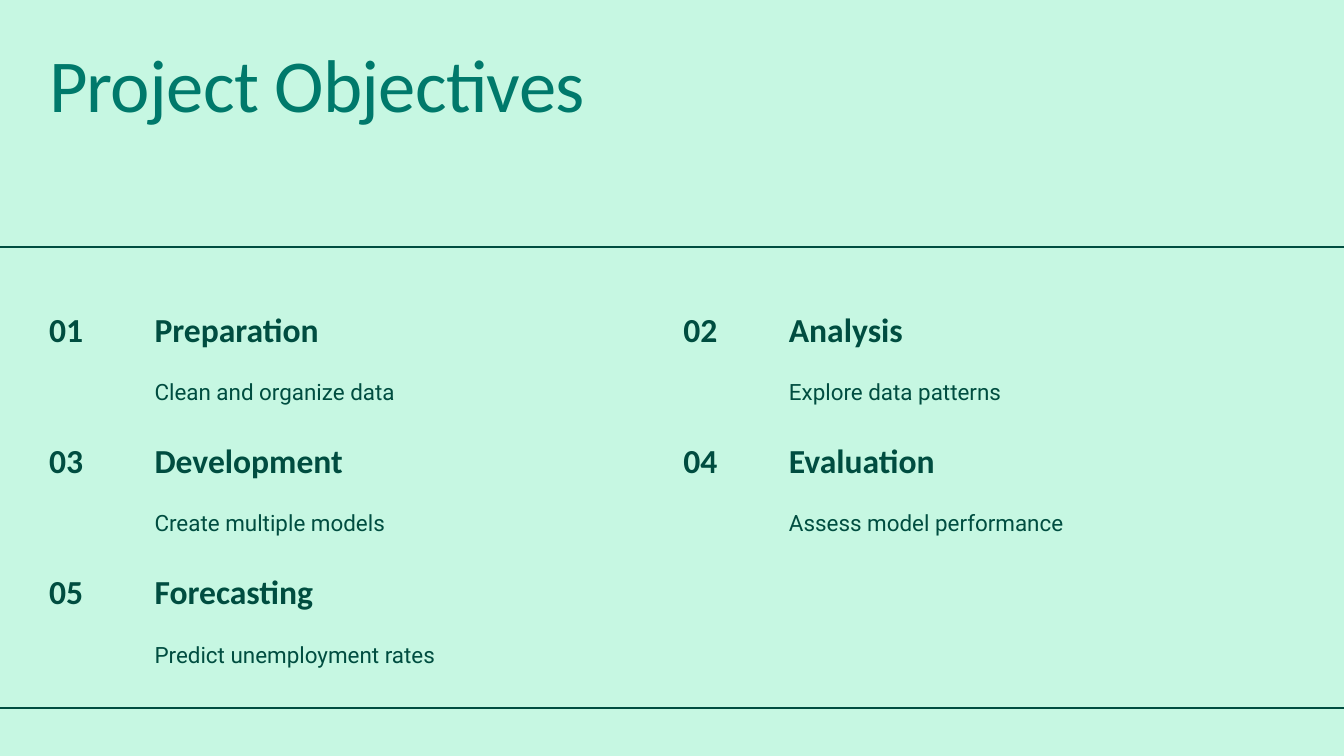
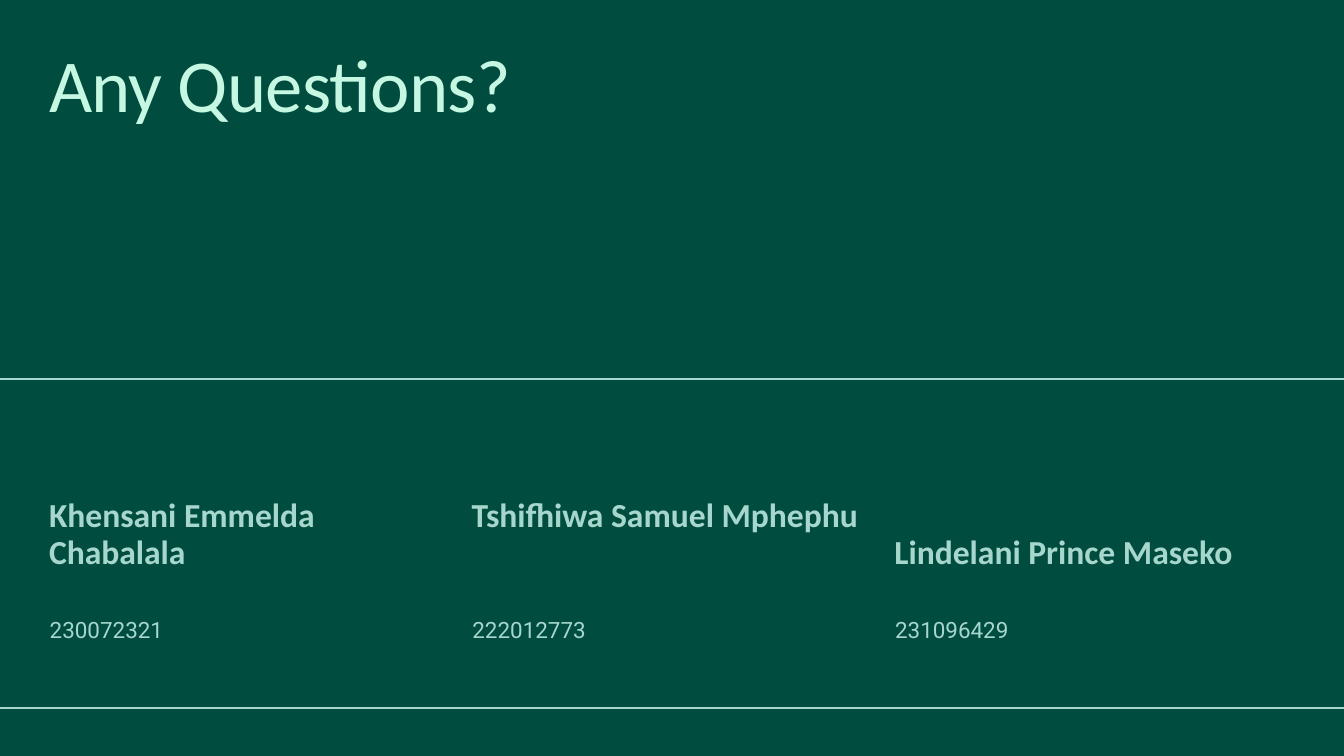
from dataclasses import dataclass

from lxml import etree
from pptx import Presentation
from pptx.dml.color import RGBColor
from pptx.enum.shapes import MSO_CONNECTOR
from pptx.enum.text import MSO_AUTO_SIZE
from pptx.oxml.ns import qn
from pptx.util import Pt

STRAIGHT = MSO_CONNECTOR.STRAIGHT
GROW = MSO_AUTO_SIZE.SHAPE_TO_FIT_TEXT

PX = 9144
PAGE_WIDTH, PAGE_HEIGHT = 2000, 1125
MARGIN = 73
FOOTER_TOP = 1054


@dataclass(frozen=True)
class TextStyle:
    font: str
    size: int
    leading: float
    bold: bool = False
    spacing: int = 0


@dataclass(frozen=True)
class Theme:
    mint: str = "C6F7E2"
    teal: str = "00796B"
    forest: str = "004D40"
    sage: str = "A7D7CC"
    rule_width: float = 2.25
    title: TextStyle = TextStyle("Calibri", 80, 80, spacing=-80)
    heading: TextStyle = TextStyle("Calibri", 36, 39.6, bold=True)
    body: TextStyle = TextStyle("Roboto", 24, 31.2)


THEME = Theme()


def write_text(frame, text, *, style, color):
    frame.word_wrap = True
    frame.auto_size = GROW
    frame.margin_left = frame.margin_right = 0
    frame.margin_top = frame.margin_bottom = 0
    para = frame.paragraphs[0]
    para.line_spacing = Pt(style.leading)
    span = para.add_run()
    span.text = text
    span.font.name = style.font
    span.font.size = Pt(style.size)
    span.font.bold = style.bold
    span.font.color.rgb = RGBColor.from_string(color)
    if style.spacing:
        span.font._element.set("spc", str(style.spacing))


class Painter:
    def __init__(self, deck):
        self.deck = deck
        self.page = None
        self.ink = None

    def start_page(self, background, ink):
        self.page = self.deck.slides.add_slide(self.deck.slide_layouts[6])
        self.ink = ink
        fill = self.page.background.fill
        fill.solid()
        fill.fore_color.rgb = RGBColor.from_string(background)

    def group(self):
        return self.page.shapes.add_group_shape().shapes

    def text(self, text, left, top, width, height, style, color=None, parent=None):
        shapes = self.page.shapes if parent is None else parent
        box = shapes.add_textbox(left * PX, top * PX, width * PX, height * PX)
        write_text(box.text_frame, text, style=style, color=color or self.ink)

    def title(self, text, color, width):
        self.text(text, MARGIN, 78, width, 127, THEME.title, color)

    def rule(self, top):
        line = self.page.shapes.add_connector(
            STRAIGHT, 0, top * PX, PAGE_WIDTH * PX, top * PX)
        line.line.color.rgb = RGBColor.from_string(self.ink)
        line.line.width = Pt(THEME.rule_width)
        etree.SubElement(line._element.spPr, qn("a:effectLst"))


def objectives_page(painter):
    objectives = [
        ("Preparation", "Clean and organize data"),
        ("Analysis", "Explore data patterns"),
        ("Development", "Create multiple models"),
        ("Evaluation", "Assess model performance"),
        ("Forecasting", "Predict unemployment rates"),
    ]
    painter.start_page(THEME.mint, THEME.forest)
    painter.title("Project Objectives", THEME.teal, PAGE_WIDTH - 2 * MARGIN)
    painter.rule(368)
    for index, (name, detail) in enumerate(objectives):
        row, column = divmod(index, 2)
        left = MARGIN + column * 944
        top = 464 + row * 391 // 2
        painter.text(f"{index + 1:02}", left, top, 124, 61, THEME.heading)
        pair = painter.group()
        painter.text(detail, left + 157, top + 95, 596, 41, THEME.body, parent=pair)
        painter.text(name, left + 157, top, 596, 61, THEME.heading, parent=pair)
    painter.rule(FOOTER_TOP)


def questions_page(painter):
    members = [
        ("Khensani Emmelda Chabalala", "230072321", 116),
        ("Tshifhiwa Samuel Mphephu", "222012773", 116),
        ("Lindelani Prince Maseko", "231096429", 61),
    ]
    name_bottom = 856
    painter.start_page(THEME.forest, THEME.sage)
    painter.title("Any Questions?", THEME.mint, 1068)
    painter.rule(564)
    for index, (name, number, height) in enumerate(members):
        left = MARGIN + index * 629
        pair = painter.group()
        painter.text(name, left, name_bottom - height, 596, height,
                     THEME.heading, parent=pair)
        painter.text(number, left + 1, 913, 595, 41, THEME.body, parent=pair)
    painter.rule(FOOTER_TOP)


def main():
    deck = Presentation()
    deck.slide_width = PAGE_WIDTH * PX
    deck.slide_height = PAGE_HEIGHT * PX
    painter = Painter(deck)
    objectives_page(painter)
    questions_page(painter)
    deck.save("out.pptx")


if __name__ == "__main__":
    main()
